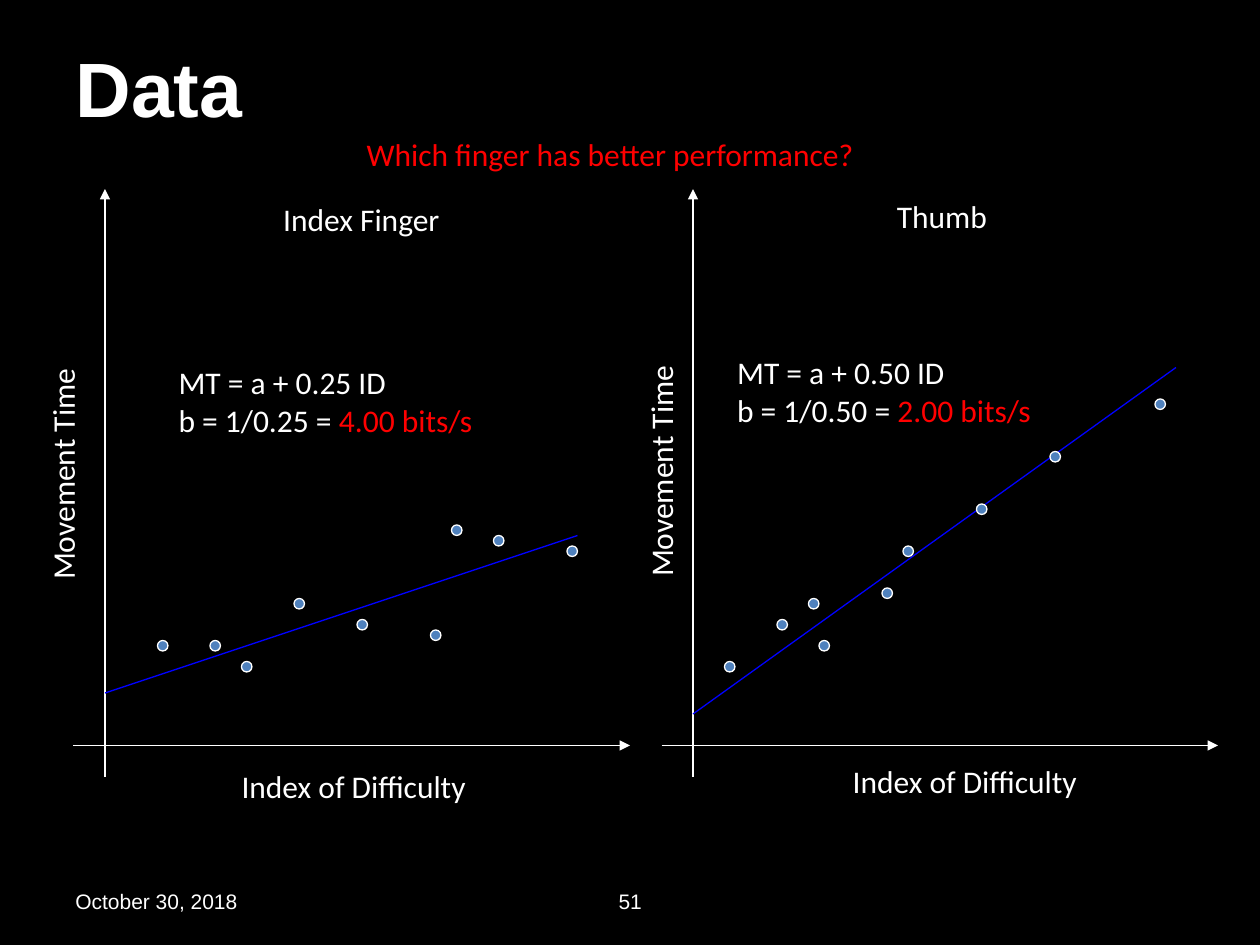
from lxml.etree import SubElement
from pptx import Presentation
from pptx.dml.color import RGBColor
from pptx.enum.shapes import MSO_CONNECTOR, MSO_SHAPE
from pptx.enum.text import MSO_ANCHOR, PP_ALIGN
from pptx.oxml.ns import qn
from pptx.util import Cm, Pt

COLORS = {"back": "000000", "text": "FFFFFF", "accent": "FF0000",
          "trend": "0000FF", "dot": "4F81BD"}
GRID = 2.54 / 12
BASELINE = 71

PLOTS = [
    {"origin": 10, "name": "Index Finger", "name_at": (5.46, 3.91, 3.71),
     "x_label_at": (4.62, 15.34, 5.08), "y_label_center": (1.26, 9.44),
     "trend": [(0, 5), (45, 20)],
     "dots": [(5, 10), (13, 8), (10, 10), (18, 14), (24, 12),
              (31, 11), (33, 21), (37, 20), (44, 19)],
     "formula_at": (3.35, 7.19, 6.5), "slope": "0.25", "rate": "4.00"},
    {"origin": 66, "name": "Thumb", "name_at": (17.83, 3.85, 2.34),
     "x_label_at": (16.94, 15.24, 5.08), "y_label_center": (13.32, 9.38),
     "trend": [(0, 3), (46, 36)],
     "dots": [(3, 8), (12, 10), (11, 14), (8, 12), (18, 15),
              (20, 19), (27, 23), (34, 28), (44, 33)],
     "formula_at": (14.61, 6.99, 6.5), "slope": "0.50", "rate": "2.00"},
]


class Slide:
    def __init__(self, page):
        self.page = page
        fill = page.background.fill
        fill.solid()
        fill.fore_color.rgb = self.color("back")

    def color(self, name):
        return RGBColor.from_string(COLORS[name])

    def style(self, span, size, font, color, bold=False):
        span.font.size = Pt(size)
        span.font.name = font
        span.font.bold = bold
        span.font.color.rgb = self.color(color)

    def title(self, words):
        box = self.page.shapes.title
        box.left, box.top, box.width, box.height = Cm(1.27), Cm(0.15), Cm(22.86), Cm(3.18)
        box.text_frame.text = words
        box.text_frame.vertical_anchor = MSO_ANCHOR.MIDDLE
        paragraph = box.text_frame.paragraphs[0]
        paragraph.alignment = PP_ALIGN.LEFT
        self.style(paragraph.runs[0], 44, "Arial", "text", True)

    def text(self, place, lines, height=1.02, color="text", size=18, font="Calibri"):
        left, top, width = place
        box = self.page.shapes.add_textbox(Cm(left), Cm(top), Cm(width), Cm(height))
        frame = box.text_frame
        frame.word_wrap = False
        frame.text = "\n".join(lines)
        for paragraph in frame.paragraphs:
            self.style(paragraph.runs[0], size, font, color)
        return box

    def vertical_text(self, center, words, width=5, height=1.02):
        x, y = center
        box = self.text((x - width / 2, y - height / 2, width), [words], height)
        box.rotation = -90

    def footer(self, place, words, alignment):
        box = self.text(place, [words], size=12, font="Arial")
        box.text_frame.word_wrap = True
        box.text_frame.vertical_anchor = MSO_ANCHOR.MIDDLE
        box.text_frame.paragraphs[0].alignment = alignment

    def formula(self, place, slope, rate):
        box = self.text(place, [f"MT = a + {slope} ID", f"b = 1/{slope} = "], 1.8)
        span = box.text_frame.paragraphs[1].add_run()
        span.text = f"{rate} bits/s"
        self.style(span, 18, "Calibri", "accent")

    def line(self, start, end, color="text", arrow=False):
        ends = [Cm(value * GRID) for value in (*start, *end)]
        line = self.page.shapes.add_connector(MSO_CONNECTOR.STRAIGHT, *ends)
        line.line.width = Pt(0.75)
        line.line.color.rgb = self.color(color)
        if arrow:
            SubElement(line.line._get_or_add_ln(), qn("a:tailEnd"), type="triangle")
        SubElement(line._element.spPr, qn("a:effectLst"))

    def dot(self, x, y):
        dot = self.page.shapes.add_shape(
            MSO_SHAPE.OVAL, Cm(x * GRID), Cm(y * GRID), Cm(GRID), Cm(GRID))
        dot.shadow.inherit = False
        dot.fill.solid()
        dot.fill.fore_color.rgb = self.color("dot")
        dot.line.color.rgb = self.color("text")
        dot.line.width = Pt(0.75)

    def plot(self, plot):
        origin = plot["origin"]
        self.line((origin, BASELINE + 3), (origin, 18), arrow=True)
        self.line((origin - 3, BASELINE), (origin + 50, BASELINE), arrow=True)
        self.vertical_text(plot["y_label_center"], "Movement Time")
        self.text(plot["x_label_at"], ["Index of Difficulty"])
        self.text(plot["name_at"], [plot["name"]])
        start, end = [(origin + x, BASELINE - y) for x, y in plot["trend"]]
        self.line(start, end, "trend")
        for x, y in plot["dots"]:
            self.dot(origin + x, BASELINE - y)
        self.formula(plot["formula_at"], plot["slope"], plot["rate"])


def main():
    deck = Presentation()
    deck.slide_width, deck.slide_height = Cm(25.4), Cm(19.05)
    slide = Slide(deck.slides.add_slide(deck.slide_layouts[5]))
    slide.title("Data")
    slide.text((7.14, 2.59, 11.05), ["Which finger has better performance?"], color="accent")
    for plot in PLOTS:
        slide.plot(plot)
    slide.footer((1.27, 17.65, 5.92), "October 30, 2018", PP_ALIGN.LEFT)
    slide.footer((8.68, 17.65, 8.05), "51", PP_ALIGN.CENTER)
    deck.save("out.pptx")


if __name__ == "__main__":
    main()
